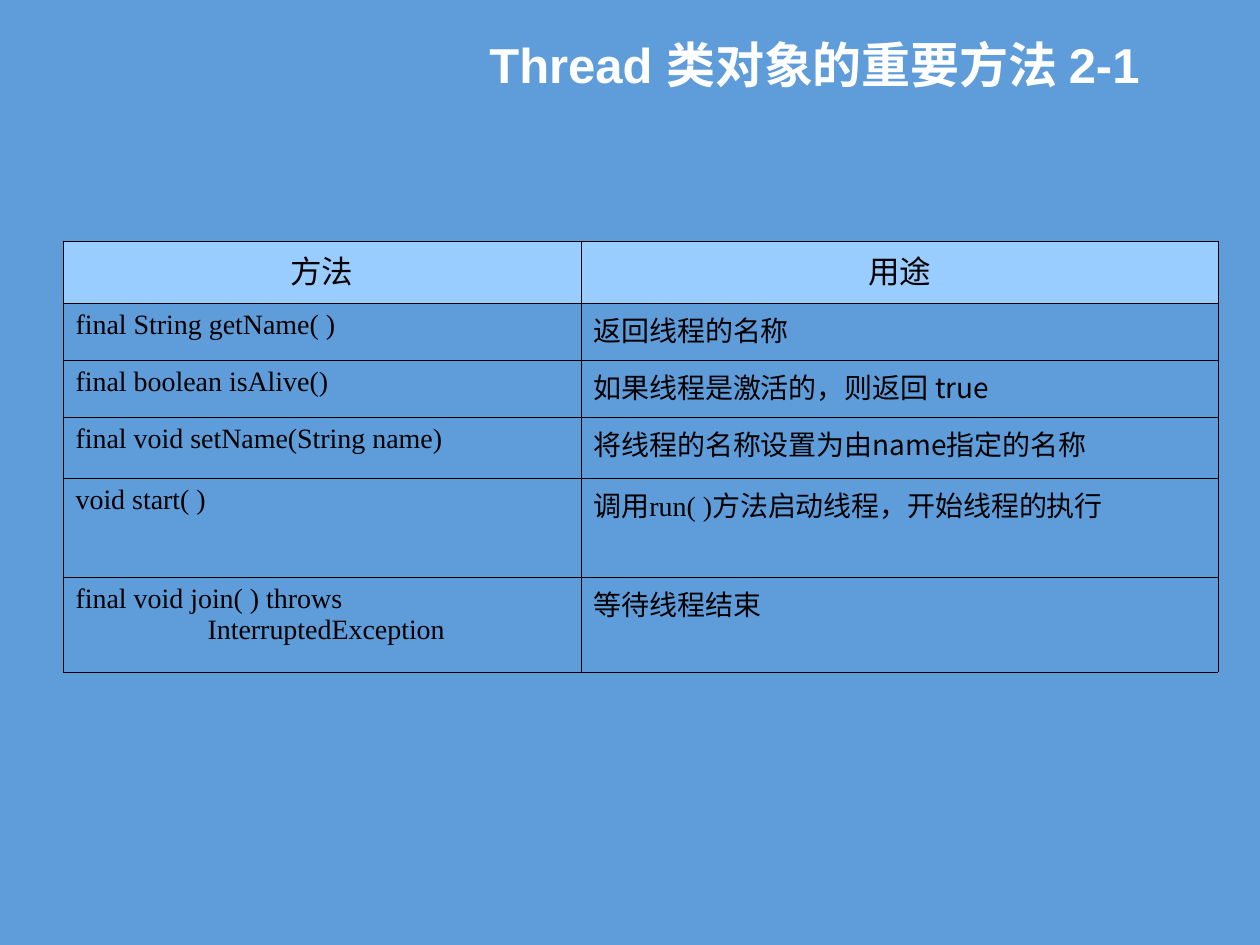
from lxml import etree
from pptx import Presentation, util as u
from pptx.dml.color import RGBColor
from pptx.enum import text
from pptx.oxml import ns

# Content: each cell is a list of paragraphs, each paragraph a list of (text, font) spans
TITLE = "Thread 类对象的重要方法 2-1"
LATIN, HAN, HEAD = "Times New Roman", "Noto Sans CJK SC", "Arial"
HEADERS = ["方法", "用途"]
METHODS = [
    ([[("final String getName( )", LATIN)]], [[("返回线程的名称", HAN)]]),
    ([[("final boolean isAlive()", LATIN)]], [[("如果线程是激活的，则返回 true", HAN)]]),
    ([[("final void setName(String name)", LATIN)]],
     [[("将线程的名称设置为由name指定的名称", HAN)]]),
    ([[("void start( )", LATIN)]],
     [[("调用", HAN), ("run( )", LATIN), ("方法启动线程，开始线程的执行", HAN)]]),
    ([[("final void join( ) throws", LATIN)], [("InterruptedException", LATIN)]],
     [[("等待线程结束", HAN)]]),
]
COLORS = {"page": "5E9CDA", "header": "99CCFF", "title": "FFFFFF", "ink": "000000"}

# Layout in px
SCALE = 914400 / 126
PAGE = (1260, 945)
TITLE_BOX = (284, 53, 1061, 47)
TABLE_AT = (63, 241)
COLUMNS = [518, 637]
ROWS = [62, 57, 57, 61, 99, 95]
HANGING = 48
CONTINUATION = 132
BORDER = u.Pt(0.45)


def px(length):
    return u.Emu(round(length * SCALE))


def color(name):
    return RGBColor.from_string(COLORS[name])


def add_span(para, words, font, size, ink, bold=False):
    span = para.add_run()
    span.text = words
    formats = {"name": font, "size": u.Pt(size), "bold": bold}
    for key, value in formats.items():
        setattr(span.font, key, value)
    span.font.color.rgb = color(ink)
    east_asian = etree.Element(ns.qn("a:ea"), typeface=HAN)
    span.font._element.find(ns.qn("a:latin")).addnext(east_asian)


def set_indent(para, left, first):
    props = para._p.get_or_add_pPr()
    props.set("marL", str(px(left)))
    props.set("indent", str(px(first)))


def add_borders(cell):
    props = cell._tc.get_or_add_tcPr()
    for side in ("lnL", "lnR", "lnT", "lnB"):
        line = etree.SubElement(props, ns.qn(f"a:{side}"), w=str(BORDER))
        fill = etree.SubElement(line, ns.qn("a:solidFill"))
        etree.SubElement(fill, ns.qn("a:srgbClr"), val=COLORS["ink"])


def fill_cell(cell, paragraphs, size, align):
    add_borders(cell)
    for index, spans in enumerate(paragraphs):
        frame = cell.text_frame
        para = frame.add_paragraph() if index else frame.paragraphs[0]
        para.alignment = align
        if index:
            set_indent(para, CONTINUATION, 0)
        else:
            set_indent(para, HANGING, -HANGING)
        for words, font in spans:
            add_span(para, words, font, size, "ink")


# Page
deck = Presentation()
deck.slide_width, deck.slide_height = map(px, PAGE)
page = deck.slides.add_slide(deck.slide_layouts[5])
page.background.fill.solid()
page.background.fill.fore_color.rgb = color("page")

# Title
title = page.shapes.title
for side, length in zip(("left", "top", "width", "height"), TITLE_BOX):
    setattr(title, side, px(length))
frame_formats = {"vertical_anchor": text.MSO_ANCHOR.BOTTOM, "word_wrap": True,
                 "auto_size": text.MSO_AUTO_SIZE.NONE}
for key, value in frame_formats.items():
    setattr(title.text_frame, key, value)
heading = title.text_frame.paragraphs[0]
heading.alignment = text.PP_ALIGN.CENTER
add_span(heading, TITLE, HEAD, 28, "title", bold=True)

# Table
size = (sum(COLUMNS), sum(ROWS))
table = page.shapes.add_table(len(ROWS), len(COLUMNS), *map(px, TABLE_AT + size)).table
for column, width in zip(table.columns, COLUMNS):
    column.width = px(width)
for row, height in zip(table.rows, ROWS):
    row.height = px(height)

# Header row
for cell, words in zip(table.rows[0].cells, HEADERS):
    fill_cell(cell, [[(words, HEAD)]], 18, text.PP_ALIGN.CENTER)
    cell.fill.solid()
    cell.fill.fore_color.rgb = color("header")

# Method rows
for row, method in zip(list(table.rows)[1:], METHODS):
    for cell, paragraphs in zip(row.cells, method):
        fill_cell(cell, paragraphs, 16, text.PP_ALIGN.LEFT)
        cell.fill.background()

deck.save("out.pptx")
